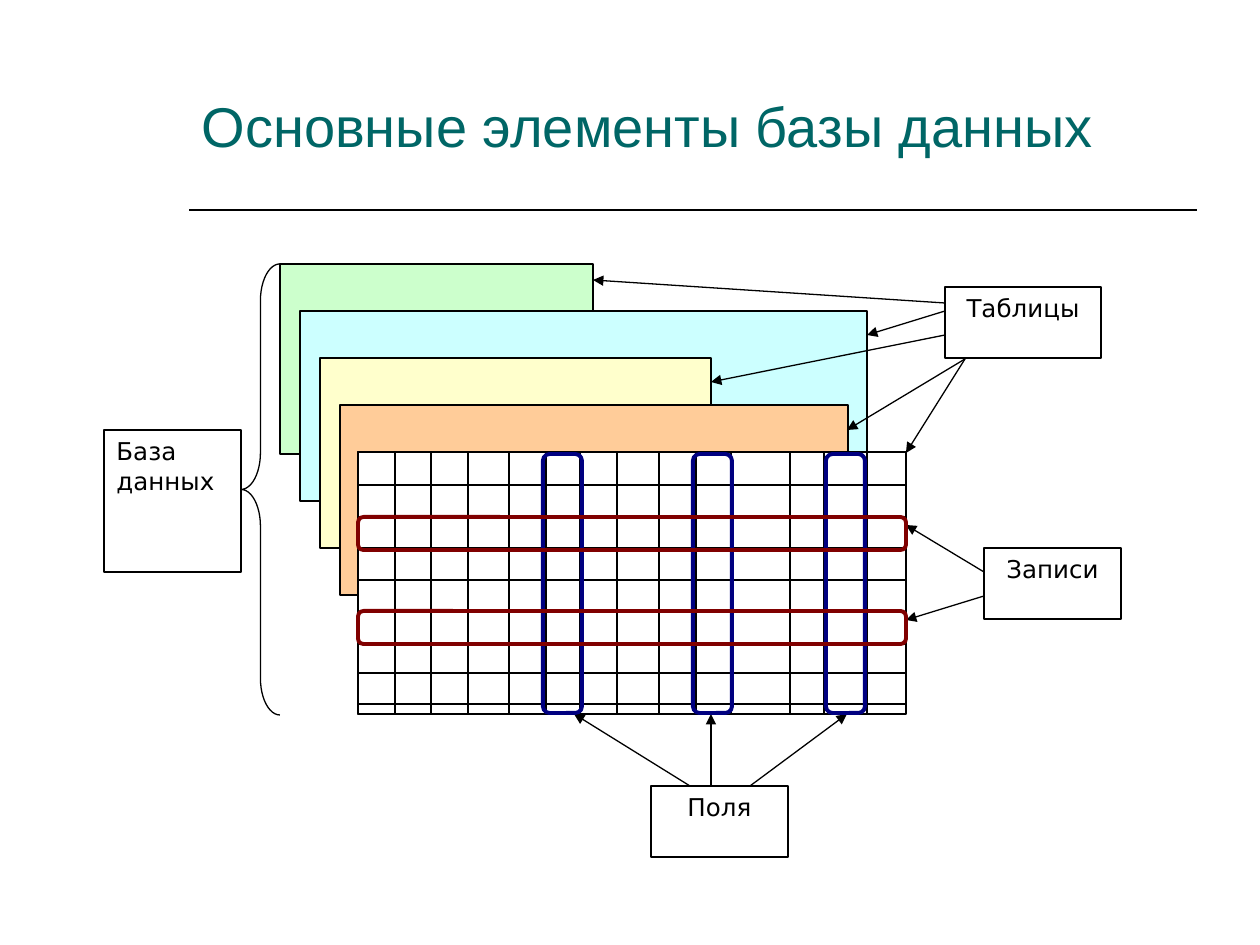
"""Build a slide that shows the main elements of a database."""
from dataclasses import dataclass

from lxml import etree
from pptx import Presentation
from pptx import util as u
from pptx.dml.color import RGBColor
from pptx.enum import shapes, text
from pptx.oxml.ns import qn


@dataclass(frozen=True)
class Theme:
    title: str = "006666"
    ink: str = "000000"
    paper: str = "FFFFFF"
    field: str = "000080"
    record: str = "800000"
    title_font: str = "Arial"
    label_font: str = "DejaVu Sans"
    title_size: int = 32
    label_size: int = 14
    thin: float = 0.75
    rule: float = 1
    thick: float = 2.25


THEME = Theme()
PX_PER_INCH = 126
SLIDE_SIZE = (1260, 945)

TITLE = "Основные элементы базы данных"
TITLE_BOX = (189, 42, 1008, 123)
TITLE_RULE = ((189, 210), (1197, 210))

CARD_START, CARD_STEP, CARD_HEIGHT = (280, 264), (20, 47), 190
CARDS = [("CCFFCC", 313), ("CCFFFF", 567), ("FFFFCC", 391), ("FFCC99", 508)]

LABELS = [
    ("База данных", (104, 430, 137, 142), text.PP_ALIGN.LEFT),
    ("Таблицы", (945, 287, 156, 71), text.PP_ALIGN.CENTER),
    ("Записи", (984, 548, 137, 71), text.PP_ALIGN.CENTER),
    ("Поля", (651, 786, 137, 71), text.PP_ALIGN.CENTER),
]
BRACE_BOX = (241, 264, 39, 451)

GRID_BOX = (358, 452, 548, 262)
COLUMNS = [(358, 37), (431, 37), (509, 37), (580, 37), (659, 37), (731, 59), (824, 43)]
ROW_LINES = [485, 517, 548, 580, 612, 644, 673, 704]
FIELD_LEFTS, FIELD_WIDTH = [543, 693, 826], 39
RECORD_TOPS, RECORD_HEIGHT = [517, 611], 33

ARROWS = [
    ((945, 303), (593, 280)),
    ((945, 311), (867, 335)),
    ((945, 335), (711, 382)),
    ((965, 359), (847, 430)),
    ((965, 359), (906, 453)),
    ((984, 572), (906, 525)),
    ((984, 596), (906, 620)),
    ((690, 786), (574, 714)),
    ((711, 786), (711, 714)),
    ((750, 786), (847, 714)),
]


def px(*lengths):
    return [u.Emu(round(length * u.Inches(1) / PX_PER_INCH)) for length in lengths]


def rgb(value):
    return RGBColor.from_string(value)


def add_box(slide, kind, box, fill=None, line=THEME.ink, width=THEME.thin):
    shape = slide.shapes.add_shape(kind, *px(*box))
    shape.shadow.inherit = False
    if fill:
        shape.fill.solid()
        shape.fill.fore_color.rgb = rgb(fill)
    else:
        shape.fill.background()
    shape.line.color.rgb = rgb(line)
    shape.line.width = u.Pt(width)
    return shape


def add_line(slide, start, end, width=THEME.thin, arrow=False):
    line = slide.shapes.add_connector(shapes.MSO_CONNECTOR.STRAIGHT, *px(*start, *end))
    line.line.color.rgb = rgb(THEME.ink)
    line.line.width = u.Pt(width)
    if arrow:
        etree.SubElement(line.line._get_or_add_ln(), qn("a:tailEnd"), type="triangle")
    etree.SubElement(line._element.spPr, qn("a:effectLst"))


def set_text(shape, content, font, size, color, anchor, align):
    frame = shape.text_frame
    frame.text = content
    frame.word_wrap = True
    frame.auto_size = text.MSO_AUTO_SIZE.NONE
    frame.vertical_anchor = anchor
    frame.margin_left = frame.margin_right = u.Inches(0.1)
    frame.margin_top = frame.margin_bottom = u.Inches(0.05)
    paragraph = frame.paragraphs[0]
    paragraph.alignment = align
    run_font = paragraph.runs[0].font
    run_font.name, run_font.size = font, u.Pt(size)
    run_font.color.rgb = rgb(color)


def add_title(slide):
    title = slide.shapes.title
    title.left, title.top, title.width, title.height = px(*TITLE_BOX)
    set_text(title, TITLE, THEME.title_font, THEME.title_size, THEME.title,
             text.MSO_ANCHOR.BOTTOM, text.PP_ALIGN.LEFT)
    add_line(slide, *TITLE_RULE, width=THEME.rule)


def add_database(slide):
    kind = shapes.MSO_SHAPE
    for index, (color, width) in enumerate(CARDS):
        left, top = (start + index * step for start, step in zip(CARD_START, CARD_STEP))
        add_box(slide, kind.RECTANGLE, (left, top, width, CARD_HEIGHT), color)
    for content, box, align in LABELS:
        label = add_box(slide, kind.RECTANGLE, box, THEME.paper)
        set_text(label, content, THEME.label_font, THEME.label_size, THEME.ink,
                 text.MSO_ANCHOR.TOP, align)
    brace = add_box(slide, kind.LEFT_BRACE, BRACE_BOX)
    brace.adjustments[0] = 0.94


def add_grid(slide):
    kind = shapes.MSO_SHAPE
    left, top, width, height = GRID_BOX
    add_box(slide, kind.RECTANGLE, GRID_BOX, THEME.paper)
    for column_left, column_width in COLUMNS:
        add_box(slide, kind.RECTANGLE, (column_left, top, column_width, height), THEME.paper)
    for y in ROW_LINES:
        add_line(slide, (left, y), (left + width, y))
    marks = [((x, top + 2, FIELD_WIDTH, height - 3), THEME.field) for x in FIELD_LEFTS]
    marks += [((left, y, width, RECORD_HEIGHT), THEME.record) for y in RECORD_TOPS]
    for start, end in ARROWS:
        add_line(slide, start, end, arrow=True)
    for box, color in marks:
        add_box(slide, kind.ROUNDED_RECTANGLE, box, line=color, width=THEME.thick)


def main():
    presentation = Presentation()
    presentation.slide_width, presentation.slide_height = px(*SLIDE_SIZE)
    slide = presentation.slides.add_slide(presentation.slide_layouts[5])
    add_title(slide)
    add_database(slide)
    add_grid(slide)
    presentation.save("out.pptx")


if __name__ == "__main__":
    main()
